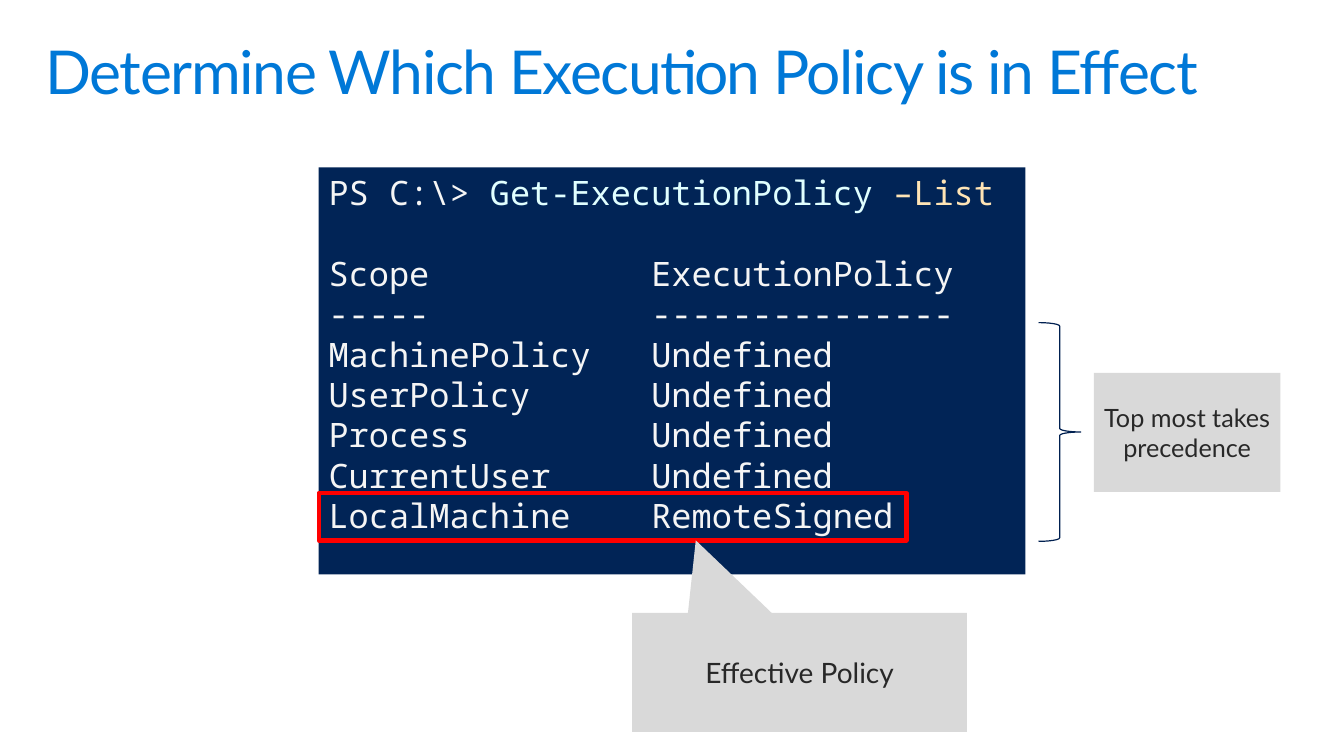
import pptx
import pptx.dml.color
import pptx.enum.shapes
import pptx.enum.text
import pptx.util

RGBColor = pptx.dml.color.RGBColor
Pt = pptx.util.Pt
Inches = pptx.util.Inches
SHAPE = pptx.enum.shapes.MSO_SHAPE
ANCHOR = pptx.enum.text.MSO_ANCHOR
ALIGN = pptx.enum.text.PP_ALIGN

TITLE_BLUE = RGBColor(0x00, 0x78, 0xD7)
CONSOLE_NAVY = RGBColor(0x01, 0x24, 0x56)
BRACE_NAVY = RGBColor(0x00, 0x20, 0x50)
OUTPUT_WHITE = RGBColor(0xF5, 0xF5, 0xF5)
COMMAND_CYAN = RGBColor(0xE0, 0xFF, 0xFF)
PARAMETER_SAND = RGBColor(0xFF, 0xE4, 0xB5)
HIGHLIGHT_RED = RGBColor(0xFF, 0x00, 0x00)
NOTE_GREY = RGBColor(0xD9, 0xD9, 0xD9)
NOTE_TEXT = RGBColor(0x28, 0x28, 0x28)

WIDTH, HEIGHT = Inches(13.33), Inches(7.5)
SLIDE = (0, 0, WIDTH, HEIGHT)
TEXT_FONT, CODE_FONT = "Lato", "Noto Sans Mono"
CODE_SIZE, CODE_PITCH = 24, 28.8
SCOPE_COLUMN = 16

COMMAND = [
    ("PS C:\\> ", OUTPUT_WHITE),
    ("Get-ExecutionPolicy ", COMMAND_CYAN),
    ("–List", PARAMETER_SAND),
]
POLICIES = [
    ("Scope", "ExecutionPolicy"),
    ("-----", "---------------"),
    ("MachinePolicy", "Undefined"),
    ("UserPolicy", "Undefined"),
    ("Process", "Undefined"),
    ("CurrentUser", "Undefined"),
    ("LocalMachine", "RemoteSigned"),
]


def part(box, left, top, width, height):
    """Return the box lying at the given percentages of another box."""
    x, y, w, h = box
    return (
        int(x + w * left / 100),
        int(y + h * top / 100),
        int(w * width / 100),
        int(h * height / 100),
    )


def set_all(target, formats):
    for name, value in formats.items():
        setattr(target, name, value)


def add_span(para, text, font, size, color):
    span = para.add_run()
    span.text = text
    set_all(span.font, {"name": font, "size": Pt(size)})
    span.font.color.rgb = color
    return span


def add_figure(page, kind, box, fill=None, line=None, weight=1):
    shape = page.shapes.add_shape(kind, *box)
    shape.shadow.inherit = False
    if fill is None:
        shape.fill.background()
    else:
        shape.fill.solid()
        shape.fill.fore_color.rgb = fill
    if line is None:
        shape.line.fill.background()
    else:
        shape.line.color.rgb = line
        shape.line.width = Pt(weight)
    return shape


def add_note(page, kind, box, text, size):
    note = add_figure(page, kind, box, fill=NOTE_GREY)
    set_all(note.text_frame, {"word_wrap": True, "vertical_anchor": ANCHOR.MIDDLE})
    para = note.text_frame.paragraphs[0]
    para.alignment = ALIGN.CENTER
    add_span(para, text, TEXT_FONT, size, NOTE_TEXT)
    return note


def add_title(page, box):
    title = page.shapes.title
    set_all(title, dict(zip(("left", "top", "width", "height"), box)))
    frame = title.text_frame
    set_all(frame, {
        "margin_left": Inches(0.16), "margin_right": Inches(0.16),
        "margin_top": Inches(0.1), "margin_bottom": Inches(0.1),
        "vertical_anchor": ANCHOR.TOP, "word_wrap": True,
        "auto_size": pptx.enum.text.MSO_AUTO_SIZE.NONE,
    })
    para = frame.paragraphs[0]
    set_all(para, {"alignment": ALIGN.LEFT, "line_spacing": 0.9})
    span = add_span(para, "Determine Which Execution Policy is in Effect",
                    TEXT_FONT, 43.2, TITLE_BLUE)
    span.font._element.set("spc", "-100")


def add_console(page, box):
    console = add_figure(page, SHAPE.RECTANGLE, box, fill=CONSOLE_NAVY)
    frame = console.text_frame
    set_all(frame, {"word_wrap": True, "vertical_anchor": ANCHOR.TOP})
    rows = [[(f"{scope:<{SCOPE_COLUMN}}{policy}", OUTPUT_WHITE)]
            for scope, policy in POLICIES]
    for index, row in enumerate([COMMAND] + rows):
        para = frame.add_paragraph() if index else frame.paragraphs[0]
        set_all(para, {"alignment": ALIGN.LEFT, "line_spacing": Pt(CODE_PITCH)})
        if index == 1:
            para.space_before = Pt(CODE_PITCH)
        for text, color in row:
            add_span(para, text, CODE_FONT, CODE_SIZE, color)
    add_figure(page, SHAPE.RECTANGLE, part(box, 0, 80, 83.17, 11.63),
               line=HIGHLIGHT_RED, weight=3)


def add_precedence(page, box):
    brace = add_figure(page, SHAPE.LEFT_BRACE, part(box, 0, 0, 17.5, 100),
                       line=BRACE_NAVY, weight=0.85)
    brace.rotation = 180
    add_note(page, SHAPE.RECTANGLE, part(box, 22.92, 23.04, 77.08, 54.38),
             "Top most takes precedence", 18)


def add_effective_policy(page, box):
    callout = add_note(page, SHAPE.RECTANGULAR_CALLOUT, box, "Effective Policy", 20)
    callout.adjustments[0] = -0.31
    callout.adjustments[1] = -1.11


def main():
    deck = pptx.Presentation()
    set_all(deck, {"slide_width": WIDTH, "slide_height": HEIGHT})
    page = deck.slides.add_slide(deck.slide_layouts.get_by_name("Title Only"))
    add_title(page, part(SLIDE, 2.18, 4.27, 95.65, 13.07))
    add_console(page, part(SLIDE, 23.71, 22.13, 52.59, 53.87))
    add_precedence(page, part(SLIDE, 77.27, 42.67, 18, 28.93))
    add_effective_policy(page, part(SLIDE, 47.04, 81.07, 24.91, 15.73))
    deck.save("out.pptx")


if __name__ == "__main__":
    main()
